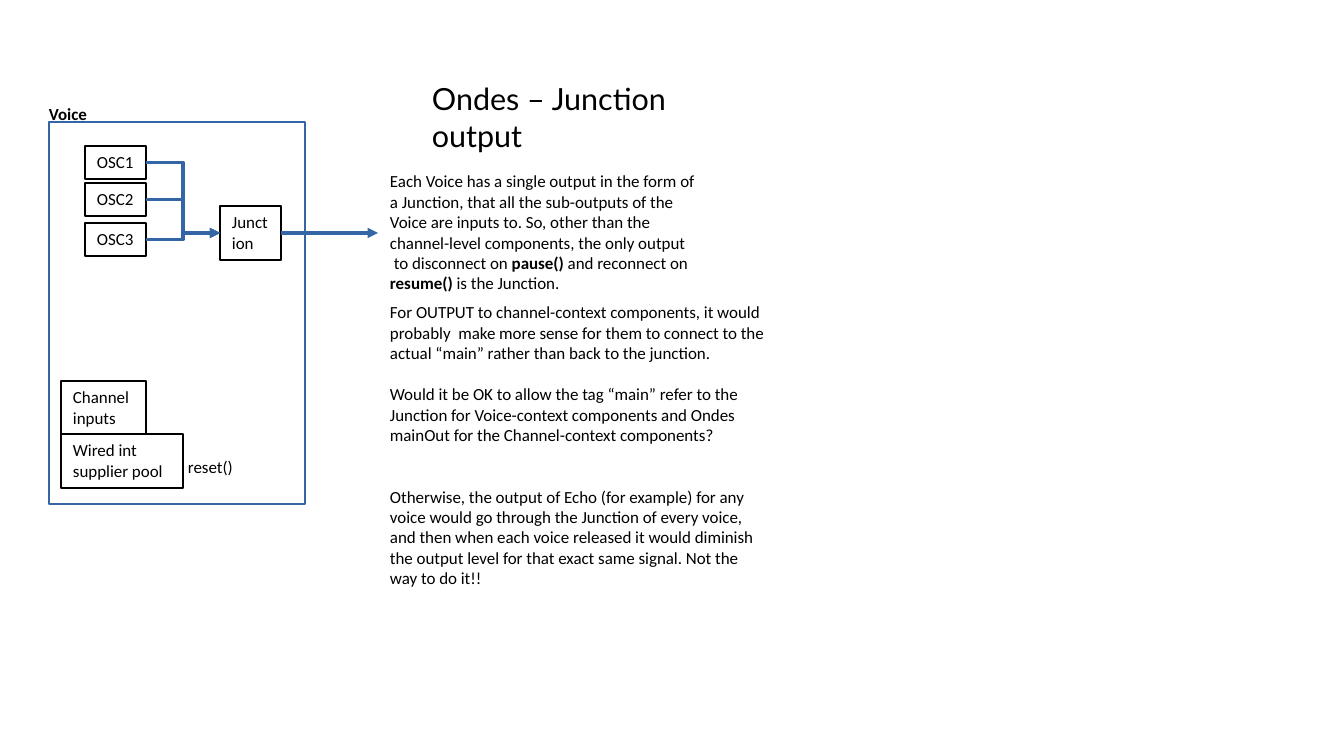
from lxml import etree
from pptx import Presentation, util as u
from pptx.dml.color import RGBColor
from pptx.enum import shapes, text
from pptx.oxml.ns import qn

BLACK = RGBColor(0x00, 0x00, 0x00)
BLUE = RGBColor(0x34, 0x65, 0xA4)
PX = 914400 / 122  # 122 px to the inch


def px(n):
    return u.Emu(round(n * PX))


class Deck:
    """Holds the style and the current slide."""

    font, size = "Calibri", 10

    def __init__(self, wide, high):
        self.prs = Presentation()
        self.prs.slide_width, self.prs.slide_height = px(wide), px(high)
        self.slide = self.prs.slides.add_slide(self.prs.slide_layouts[6])

    def put(self, shape, paras, font=None, size=None):
        """Each paragraph is (space before, indent, [(words, bold), ...])."""
        frame = shape.text_frame
        frame.word_wrap = True
        frame.vertical_anchor = text.MSO_ANCHOR.TOP
        for i, (gap, dent, runs) in enumerate(paras):
            para = frame.paragraphs[0] if i == 0 else frame.add_paragraph()
            para.alignment = text.PP_ALIGN.LEFT
            if gap:
                para.space_before = u.Pt(gap)
            if dent:
                para._p.get_or_add_pPr().set("indent", str(px(dent)))
            for words, bold in runs:
                run = para.add_run()
                run.text = words
                run.font.name = font or self.font
                run.font.size = u.Pt(size or self.size)
                run.font.bold = bold
                run.font.color.rgb = BLACK

    def label(self, x, y, w, h, paras, **look):
        box = self.slide.shapes.add_textbox(px(x), px(y), px(w), px(h))
        self.put(box, paras, **look)

    def box(self, x, y, w, h, words="", color=BLACK, line=0):
        rect = self.slide.shapes.add_shape(
            shapes.MSO_SHAPE.RECTANGLE, px(x), px(y), px(w), px(h))
        rect.shadow.inherit = False
        rect.fill.background()
        rect.line.color.rgb = color
        rect.line.width = u.Pt(line)
        if words:
            self.put(rect, [(0, 0, [(words, False)])])
        return rect

    def arrow(self, kind, start, end=None, stop=(0, 0)):
        """Runs from the right side of start to the left side of end."""
        wire = self.slide.shapes.add_connector(
            kind, 0, 0, px(stop[0]), px(stop[1]))
        wire.begin_connect(start, 3)
        if end is not None:
            wire.end_connect(end, 1)
        wire.line.color.rgb = BLUE
        wire.line.width = u.Pt(0)
        props = wire._element.spPr
        etree.SubElement(props.find(qn("a:ln")), qn("a:tailEnd"),
                         type="triangle")
        etree.SubElement(props, qn("a:effectLst"))


def main():
    deck = Deck(1344, 756)
    kind = shapes.MSO_CONNECTOR

    # Voice frame
    deck.label(37, 98, 98, 33, [(0, 0, [("Voice", True)])])
    deck.box(49, 122, 256, 382, color=BLUE, line=1)

    # Oscillators feeding the junction
    joint = deck.box(220, 206, 61, 54, "Junction")
    for i, y in enumerate((146, 183, 223), 1):
        osc = deck.box(85, y, 61, 33, f"OSC{i}")
        deck.arrow(kind.ELBOW, osc, joint)
    deck.arrow(kind.STRAIGHT, joint, stop=(378, 233))

    # Channel inputs and supplier pool
    deck.box(61, 381, 85, 53, "Channel inputs")
    deck.box(61, 434, 122, 54, "Wired int supplier pool")
    deck.label(176, 451, 93, 33, [(0, 0, [("reset()", False)])])

    # Title and notes
    deck.label(420, 74, 300, 95,
               [(0, 0, [("Ondes – Junction output", False)])],
               font="Lato", size=18)
    deck.label(378, 165, 329, 135, [
        (0, 0, [("Each Voice has a single output in the form of a Junction, "
                 "that all the sub-outputs of the Voice are inputs to. So, "
                 "other than the channel-level components, the only output",
                 False)]),
        (0, 4, [("to disconnect on ", False), ("pause() ", True),
                ("and reconnect on ", False), ("resume()", True),
                (" is the Junction.", False)]),
    ])
    deck.label(378, 296, 403, 300, [
        (0, 0, [("For OUTPUT to channel-context components, it would "
                 "probably  make more sense for them to connect to the "
                 "actual “main” rather than back to the junction.", False)]),
        (12.2, 0, [("Would it be OK to allow the tag “main” refer to the "
                    "Junction for Voice-context components and Ondes "
                    "mainOut for the Channel-context components?", False)]),
        (24.4, 0, [("Otherwise, the output of Echo (for example) for any "
                    "voice would go through the Junction of every voice, "
                    "and then when each voice released it would diminish "
                    "the output level for that exact same signal. Not the "
                    "way to do it!!", False)]),
    ])

    deck.prs.save("out.pptx")


if __name__ == "__main__":
    main()
